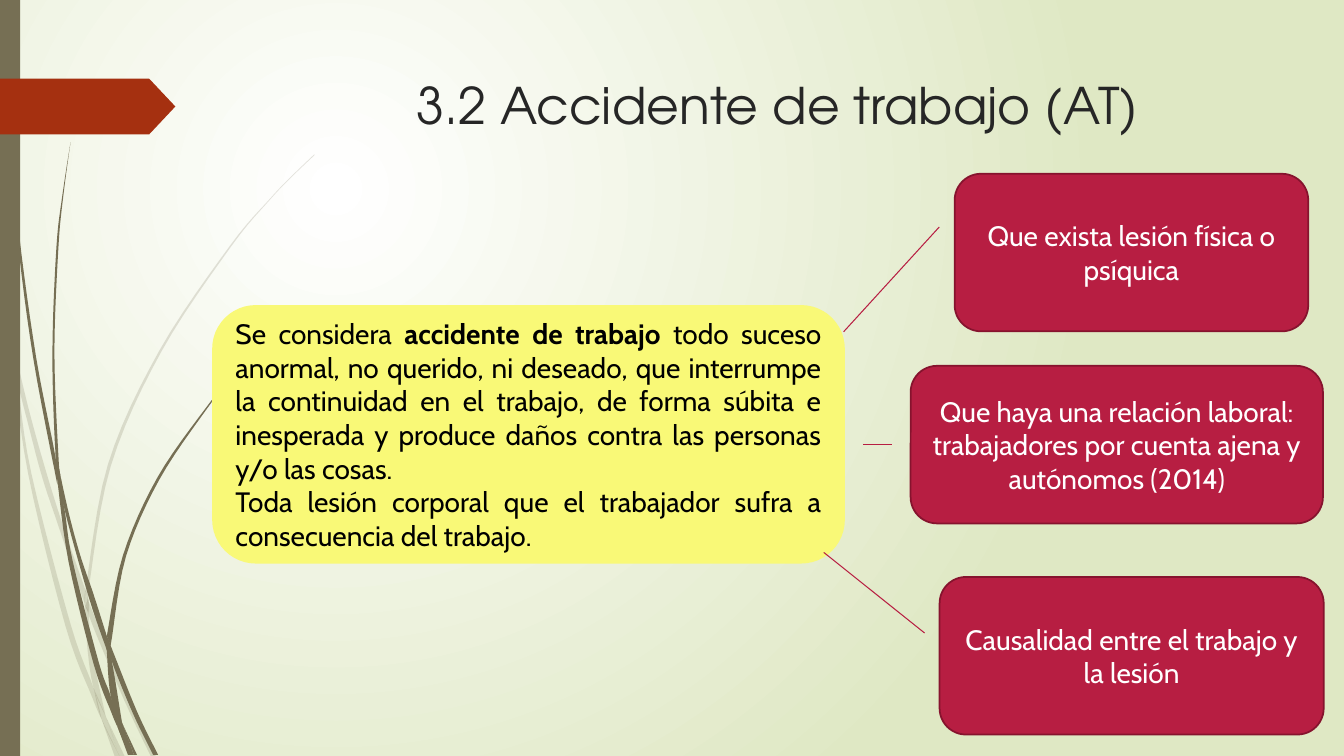
import dataclasses

import lxml.etree
import pptx
import pptx.dml.color
import pptx.enum.shapes
import pptx.enum.text
import pptx.oxml.ns
import pptx.util

Cm = pptx.util.Cm
Pt = pptx.util.Pt
Align = pptx.enum.text.PP_ALIGN
Anchor = pptx.enum.text.MSO_ANCHOR
Preset = pptx.enum.shapes.MSO_SHAPE
qn = pptx.oxml.ns.qn


@dataclasses.dataclass(frozen=True)
class Theme:
    white: str = "FFFFFF"
    mist: str = "DFE8C4"
    stem: str = "766F54"
    ribbon: str = "A53010"
    title: str = "262626"
    ink: str = "000000"
    yellow: str = "F9F977"
    crimson: str = "B71E42"
    crimson_edge: str = "86132E"
    title_font: str = "TeX Gyre Adventor"
    body_font: str = "Cabin"
    title_size: int = 36
    body_size: int = 20
    edge_width: float = 1.25
    link_width: float = 0.75


def rgb(value):
    return pptx.dml.color.RGBColor.from_string(value)


def write_text(paragraph, text, *, font, size, color, bold=False, align=Align.CENTER):
    paragraph.alignment = align
    run = paragraph.add_run()
    run.text = text
    run.font.name = font
    run.font.size = Pt(size)
    run.font.bold = bold
    run.font.color.rgb = rgb(color)


def smooth_edge(points, steps=6):
    padded = [points[0], *points, points[-1]]
    curve = []
    for a, b, c, d in zip(padded, padded[1:], padded[2:], padded[3:]):
        for step in range(steps):
            t = step / steps
            curve.append(tuple(
                (2 * q + (r - p) * t + (2 * p - 5 * q + 4 * r - s) * t ** 2
                 + (3 * q - p - 3 * r + s) * t ** 3) / 2
                for p, q, r, s in zip(a, b, c, d)))
    return curve + [points[-1]]


class SlideBuilder:
    def __init__(self, slide, theme):
        self.slide = slide
        self.theme = theme

    def background(self):
        fill = self.slide.background.fill
        fill.gradient()
        colors = (self.theme.white, self.theme.mist)
        for position, (stop, color) in enumerate(zip(fill.gradient_stops, colors)):
            stop.position = position
            stop.color.rgb = rgb(color)
        gradient = self.slide.element.find(".//" + qn("a:gradFill"))
        gradient.remove(gradient.find(qn("a:lin")))
        circle = lxml.etree.SubElement(gradient, qn("a:path"), path="circle")
        lxml.etree.SubElement(circle, qn("a:fillToRect"),
                              l="50000", t="50000", r="100000", b="100000")

    def paint(self, shape, fill, line=None, opacity=None):
        shape.shadow.inherit = False
        shape.fill.solid()
        shape.fill.fore_color.rgb = rgb(fill)
        if line:
            shape.line.color.rgb = rgb(line)
            shape.line.width = Pt(self.theme.edge_width)
        else:
            shape.line.fill.background()
        if opacity:
            color = shape.element.spPr.find(qn("a:solidFill") + "/" + qn("a:srgbClr"))
            lxml.etree.SubElement(color, qn("a:alpha"), val=str(opacity * 1000))

    def shape(self, preset, box, fill, line=None):
        shape = self.slide.shapes.add_shape(preset, *map(Cm, box))
        self.paint(shape, fill, line)
        return shape

    def blade(self, left, right, opacity=None):
        unit = Cm(0.0254)
        outline = [(x * unit, y * unit)
                   for x, y in smooth_edge(left) + smooth_edge(right)[::-1]]
        builder = self.slide.shapes.build_freeform(*outline[0])
        builder.add_line_segments(outline[1:])
        self.paint(builder.convert_to_shape(), self.theme.stem, opacity=opacity)

    def title(self, text, box):
        shape = self.slide.shapes.title
        shape.left, shape.top, shape.width, shape.height = map(Cm, box)
        frame = shape.text_frame
        frame.auto_size = pptx.enum.text.MSO_AUTO_SIZE.NONE
        frame.vertical_anchor = Anchor.TOP
        write_text(frame.paragraphs[0], text, font=self.theme.title_font,
                   size=self.theme.title_size, color=self.theme.title)

    def card(self, box, paragraphs, fill, line, color, align=Align.CENTER):
        frame = self.shape(Preset.ROUNDED_RECTANGLE, box, fill, line).text_frame
        frame.word_wrap = True
        frame.vertical_anchor = Anchor.MIDDLE
        for index, runs in enumerate(paragraphs):
            paragraph = frame.add_paragraph() if index else frame.paragraphs[0]
            for text, bold in runs:
                write_text(paragraph, text, font=self.theme.body_font,
                           size=self.theme.body_size, color=color, bold=bold, align=align)

    def link(self, start, end):
        connector = self.slide.shapes.add_connector(
            pptx.enum.shapes.MSO_CONNECTOR.STRAIGHT, *map(Cm, start + end))
        connector.line.color.rgb = rgb(self.theme.crimson)
        connector.line.width = Pt(self.theme.link_width)
        lxml.etree.SubElement(connector.element.spPr, qn("a:effectLst"))


PALE_BLADES = [
    ([(0, 299), (10, 344), (11, 350)], [(0, 282), (9, 322), (11, 350)]),
    ([(14, 345), (17, 376), (29, 425), (42, 474), (58, 522), (84, 599)],
     [(14, 345), (28, 404), (44, 462), (62, 520), (85, 586)]),
    ([(88, 596), (88, 610), (123, 694), (150, 751)], [(88, 596), (92, 607), (127, 692), (155, 751)]),
    ([(105, 711), (119, 751)], [(105, 711), (124, 751)]),
    ([(11, 350), (28, 470), (65, 621), (92, 693), (101, 714)],
     [(11, 350), (17, 376), (31, 469), (70, 619), (93, 683), (101, 714)]),
    ([(84, 599), (87, 646), (93, 683), (105, 711)], [(84, 599), (88, 610), (91, 646), (105, 711)]),
    ([(312, 153), (289, 175), (268, 197), (228, 244), (158, 348), (107, 461), (85, 584), (85, 586)],
     [(312, 154), (290, 175), (268, 198), (229, 245), (160, 349), (110, 462), (88, 584), (88, 596)]),
    ([(101, 714), (114, 751)], [(101, 714), (119, 751)]),
    ([(85, 586), (84, 599), (88, 608)], [(85, 586), (88, 596), (88, 610)]),
    ([(93, 683), (101, 714), (119, 751)], [(93, 683), (105, 711), (119, 751)]),
]
DARK_BLADES = [
    ([(3, 0), (7, 110), (17, 233), (33, 355), (57, 481)],
     [(4, 0), (8, 109), (19, 232), (36, 355), (55, 453), (57, 481)]),
    ([(60, 472), (64, 505), (88, 592), (106, 645)],
     [(60, 472), (69, 512), (80, 552), (93, 590), (106, 631)]),
    ([(110, 641), (111, 656), (132, 708), (152, 749)], [(110, 641), (136, 706), (157, 749)]),
    ([(57, 477), (68, 557), (93, 659), (111, 708), (117, 722)],
     [(57, 477), (64, 505), (72, 556), (98, 657), (110, 691), (117, 722)]),
    ([(70, 141), (62, 193), (56, 245), (52, 349), (55, 449), (60, 472)],
     [(70, 141), (63, 193), (58, 245), (54, 349), (58, 453), (60, 472)]),
    ([(122, 719), (133, 749)], [(122, 719), (136, 749)]),
    ([(55, 449), (57, 477), (64, 505)], [(55, 449), (60, 472), (64, 505)]),
    ([(260, 344), (231, 373), (204, 405), (156, 474), (122, 551), (106, 631)],
     [(261, 344), (231, 374), (205, 406), (158, 476), (125, 552), (111, 633), (110, 641)]),
    ([(117, 722), (127, 749)], [(117, 722), (131, 749)]),
    ([(106, 645), (110, 691), (122, 719)], [(106, 645), (111, 656), (121, 716), (122, 719)]),
    ([(106, 631), (106, 645), (111, 656)], [(106, 631), (110, 641), (111, 656)]),
    ([(110, 691), (117, 722), (130, 749)], [(110, 691), (122, 719), (133, 749)]),
]
DEFINITION = [
    [("Se considera ", False), ("accidente de trabajo ", True),
     ("todo suceso anormal, no querido, ni deseado, que interrumpe la continuidad "
      "en el trabajo, de forma súbita e inesperada y produce daños contra las "
      "personas y/o las cosas.", False)],
    [("Toda lesión corporal que el trabajador sufra a consecuencia del trabajo.", False)],
]
CONDITIONS = [
    ((24.06, 4.38, 8.91, 3.97), "Que exista lesión física o psíquica"),
    ((22.95, 9.22, 10.39, 3.97),
     "Que haya una relación laboral: trabajadores por cuenta ajena y autónomos (2014)"),
    ((23.68, 14.54, 9.68, 3.97), "Causalidad entre el trabajo y la lesión"),
]
LINKS = [((21.26, 8.36), (23.67, 5.72)), ((21.76, 11.2), (22.48, 11.2)), ((20.76, 13.92), (23.3, 15.95))]


def main():
    presentation = pptx.Presentation()
    presentation.slide_width, presentation.slide_height = Cm(33.87), Cm(19.05)
    theme = Theme()
    builder = SlideBuilder(presentation.slides.add_slide(presentation.slide_layouts[5]), theme)
    builder.background()
    for blades, opacity in ((PALE_BLADES, 20), (DARK_BLADES, None)):
        for left, right in blades:
            builder.blade(left, right, opacity)
    builder.shape(Preset.RECTANGLE, (0, 0, 0.51, 19.05), theme.stem)
    ribbon = builder.shape(Preset.PENTAGON, (0, 1.98, 4.42, 1.41), theme.ribbon)
    ribbon.adjustments[0] = 0.47
    builder.title("3.2 Accidente de trabajo (AT)", (7.21, 1.73, 24.77, 3.56))
    builder.card((5.37, 7.71, 15.9, 6.47), DEFINITION, theme.yellow, theme.yellow,
                 theme.ink, Align.JUSTIFY)
    for box, text in CONDITIONS:
        builder.card(box, [[(text, False)]], theme.crimson, theme.crimson_edge, theme.white)
    for start, end in LINKS:
        builder.link(start, end)
    presentation.save("out.pptx")


if __name__ == "__main__":
    main()
